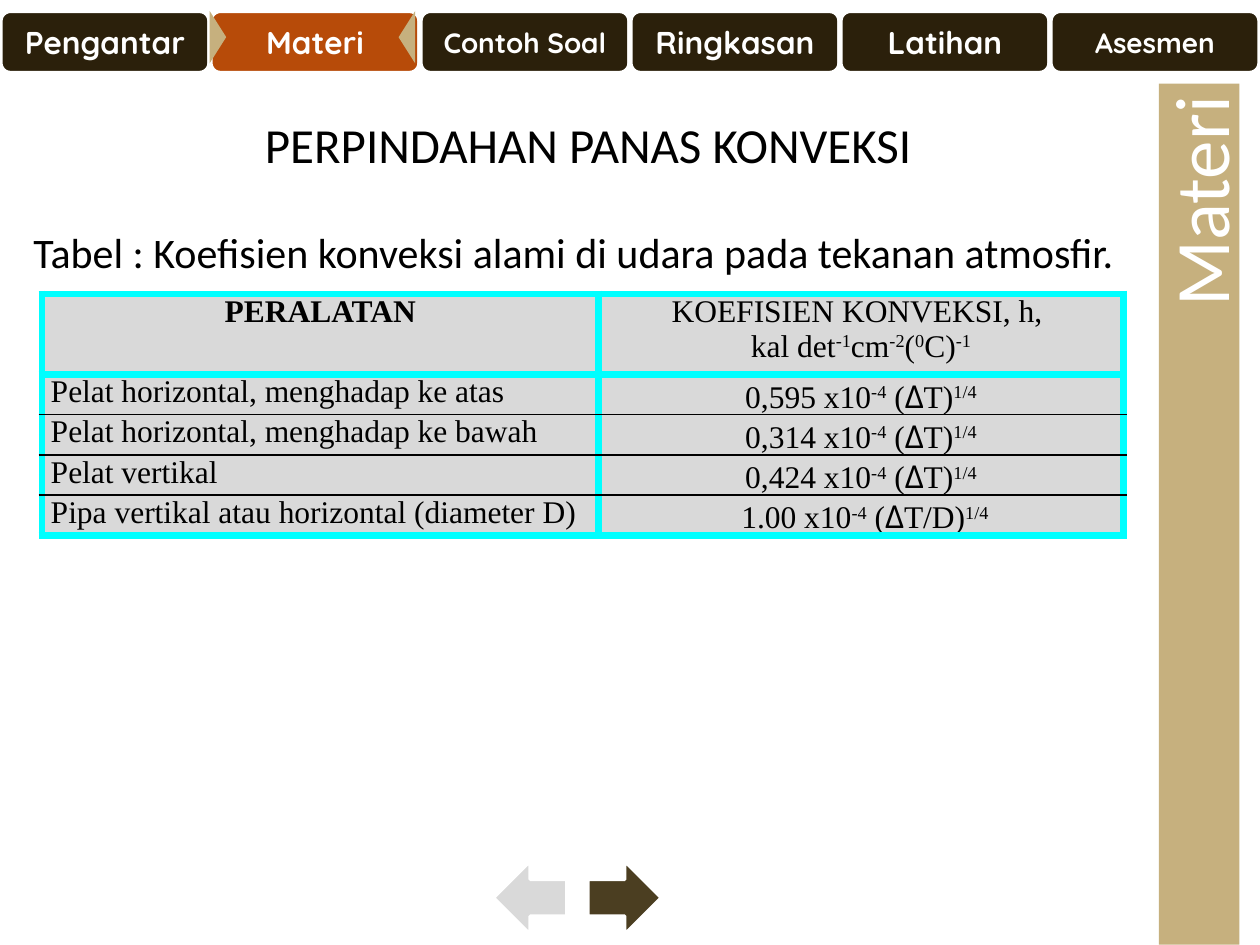
from lxml import etree
from pptx import Presentation
from pptx.dml.color import RGBColor
from pptx.enum import shapes, text
from pptx.oxml.ns import qn
from pptx.util import Pt

WHITE = RGBColor(0xFF, 0xFF, 0xFF)
BLACK = RGBColor(0, 0, 0)
DARK = RGBColor(0x2B, 0x20, 0x0B)
ORANGE = RGBColor(0xB7, 0x4B, 0x09)
SAND = RGBColor(0xC6, 0xB0, 0x7E)
BROWN = RGBColor(0x4B, 0x3E, 0x21)
GREY = RGBColor(0xD9, 0xD9, 0xD9)
CYAN = RGBColor(0, 0xFF, 0xFF)

TABS = [("Pengantar", 18), ("Materi", 18), ("Contoh Soal", 16),
        ("Ringkasan", 18), ("Latihan", 18), ("Asesmen", 16)]
CURRENT_TAB = "Materi"
HEADING = "PERPINDAHAN PANAS KONVEKSI"
CAPTION = "Tabel : Koefisien konveksi alami di udara pada tekanan atmosfir."
# Between bars, every second piece is superscript; a line feed starts a paragraph.
ROWS = [
    ("PERALATAN", "KOEFISIEN KONVEKSI, h, \nkal det|-1|cm|-2|(|0|C)|-1"),
    ("Pelat horizontal, menghadap ke atas", "0,595 x10|-4| (ΔT)|1/4"),
    ("Pelat horizontal, menghadap ke bawah", "0,314 x10|-4| (ΔT)|1/4"),
    ("Pelat vertikal", "0,424 x10|-4| (ΔT)|1/4"),
    ("Pipa vertikal atau horizontal (diameter D)", "\u00a01.00 x10|-4| (ΔT/D)|1/4"),
]
COLUMN_WIDTHS = (318, 300)
ROW_HEIGHTS = (46, 23, 23, 23, 23)
TAB_WIDTH, TAB_TOP, TAB_HEIGHT = 120, 6, 36


def set_font(font, name, size, color, bold=False):
    font.name, font.size, font.bold = name, Pt(size), bold
    font.color.rgb = color


def write(shape, words, name, size, color, align, bold=False):
    frame = shape.text_frame
    frame.word_wrap = True
    paragraph = frame.paragraphs[0]
    paragraph.text = words
    paragraph.alignment = align
    set_font(paragraph.font, name, size, color, bold)
    return frame


def add_shape(slide, kind, box, fill, line_width=0, rotation=0):
    shape = slide.shapes.add_shape(kind, *map(Pt, box))
    shape.shadow.inherit = False
    shape.rotation = rotation
    shape.fill.solid()
    shape.fill.fore_color.rgb = fill
    if line_width:
        shape.line.color.rgb = WHITE
        shape.line.width = Pt(line_width)
    else:
        shape.line.fill.background()
    return shape


def add_tabs(slide):
    for index, (label, size) in enumerate(TABS):
        left = index * TAB_WIDTH
        current = label == CURRENT_TAB
        tab = add_shape(slide, shapes.MSO_SHAPE.ROUNDED_RECTANGLE,
                        (left, TAB_TOP, TAB_WIDTH, TAB_HEIGHT),
                        ORANGE if current else DARK, 3)
        frame = write(tab, label, "Quicksand", size, WHITE, text.PP_ALIGN.CENTER, True)
        frame.vertical_anchor = text.MSO_ANCHOR.MIDDLE
        if current:
            for notch_left, rotation in ((left - 10.5, 90), (left + 97.5, 270)):
                add_shape(slide, shapes.MSO_SHAPE.ISOSCELES_TRIANGLE,
                          (notch_left, 16.5, 30, 9.5), SAND, rotation=rotation)


def add_title(slide):
    title = slide.shapes.title
    title.left, title.top, title.width, title.height = map(Pt, (439.2, 270.8, 492, 46))
    title.rotation = 270
    title.fill.solid()
    title.fill.fore_color.rgb = SAND
    frame = write(title, "Materi", "Calibri", 44, WHITE, text.PP_ALIGN.RIGHT)
    frame.auto_size = text.MSO_AUTO_SIZE.NONE
    frame.vertical_anchor = text.MSO_ANCHOR.MIDDLE


def add_border(cell, side, color, width):
    line = etree.SubElement(cell._tc.get_or_add_tcPr(), qn(f"a:ln{side}"),
                            w=str(Pt(width)), cmpd="sng")
    fill = etree.SubElement(line, qn("a:solidFill"))
    etree.SubElement(fill, qn("a:srgbClr"), val=str(color))


def add_formula(paragraph, formula, bold):
    for index, piece in enumerate(formula.split("|")):
        before, delta, after = piece.partition("Δ")
        for words in filter(None, (before, delta, after)):
            run = paragraph.add_run()
            run.text = words
            name = "Noto Sans Mono" if words == "Δ" else "Times New Roman"
            set_font(run.font, name, 18, BLACK, bold)
            if index % 2:
                run._r.get_or_add_rPr().set("baseline", "30000")


def add_table(slide):
    table = slide.shapes.add_table(
        len(ROWS), len(COLUMN_WIDTHS), Pt(24), Pt(168),
        Pt(sum(COLUMN_WIDTHS)), Pt(sum(ROW_HEIGHTS))).table
    for column, width in zip(table.columns, COLUMN_WIDTHS):
        column.width = Pt(width)
    last = len(ROWS) - 1
    for r, (row, height) in enumerate(zip(ROWS, ROW_HEIGHTS)):
        table.rows[r].height = Pt(height)
        for c, content in enumerate(row):
            cell = table.cell(r, c)
            cell.margin_left = cell.margin_right = Pt(5)
            cell.margin_top = cell.margin_bottom = 0
            thick = {"L": True, "R": True, "T": r < 2, "B": r in (0, last)}
            for side, is_thick in thick.items():
                add_border(cell, side, *((CYAN, 4.5) if is_thick else (BLACK, 1)))
            cell.fill.solid()
            cell.fill.fore_color.rgb = GREY
            frame = cell.text_frame
            for index, formula in enumerate(content.split("\n")):
                paragraph = frame.add_paragraph() if index else frame.paragraphs[0]
                left_text = r > 0 and c == 0
                paragraph.alignment = (text.PP_ALIGN.JUSTIFY if left_text
                                       else text.PP_ALIGN.CENTER)
                add_formula(paragraph, formula, bold=r == 0 and c == 0)


def main():
    presentation = Presentation()
    presentation.slide_width, presentation.slide_height = Pt(720), Pt(540)
    slide = presentation.slides.add_slide(presentation.slide_layouts[5])
    add_tabs(slide)
    for left, color, rotation in ((282, GREY, 180), (336, BROWN, 0)):
        add_shape(slide, shapes.MSO_SHAPE.RIGHT_ARROW, (left, 492, 42, 42),
                  color, 2, rotation)
    add_title(slide)
    heading = slide.shapes.add_textbox(*map(Pt, (36, 60, 600, 45)))
    frame = write(heading, HEADING, "Calibri", 28, BLACK, text.PP_ALIGN.CENTER)
    frame.vertical_anchor = text.MSO_ANCHOR.MIDDLE
    caption = slide.shapes.add_textbox(*map(Pt, (12, 126, 648, 36)))
    write(caption, CAPTION, "Calibri", 24, BLACK, text.PP_ALIGN.LEFT)
    add_table(slide)
    presentation.save("out.pptx")


if __name__ == "__main__":
    main()
